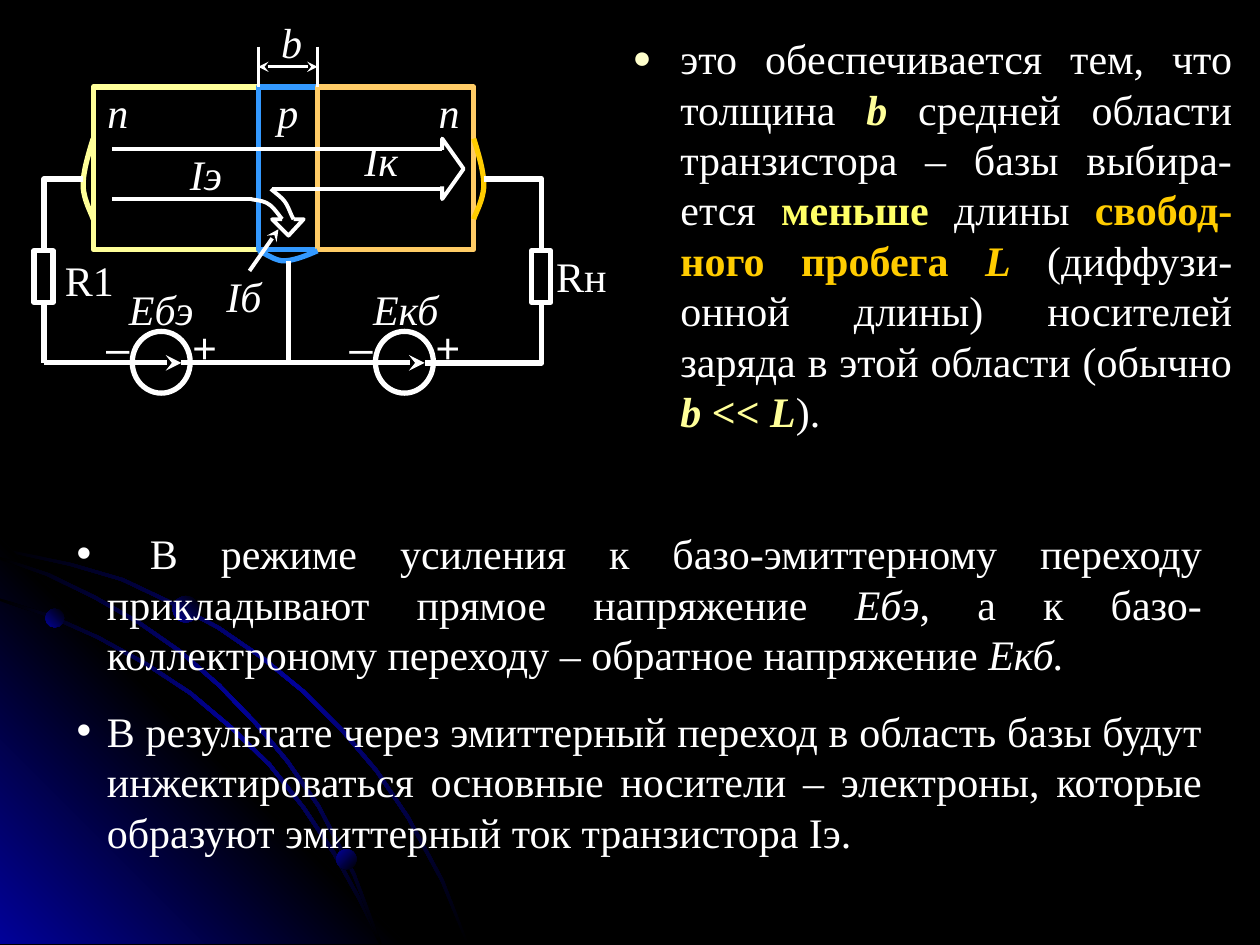
from lxml import etree
from pptx import Presentation
from pptx.dml.color import RGBColor
from pptx.enum.shapes import MSO_CONNECTOR, MSO_SHAPE
from pptx.enum.text import MSO_ANCHOR, MSO_AUTO_SIZE, PP_ALIGN
from pptx.oxml.ns import qn
from pptx.util import Inches, Pt

COLORS = {
    "black": "000000", "blue": "010199", "white": "FFFFFF", "cream": "FFFFCC",
    "emitter": "FFFF99", "base": "3399FF", "collector": "FFCC66",
    "lemon": "FFFF66", "gold": "FFCC00",
}
COLUMNS, ROWS = 100, 75
SERIF, SANS = "Times New Roman", "Arial"
EMITTER, BASE, COLLECTOR, END = 7.4, 20.5, 25.2, 37.6
TOP, BOTTOM, BUS = 6.9, 19.9, 28.8
LEFT_WIRE, MIDDLE_WIRE, RIGHT_WIRE = 3.5, 22.9, 43


def cell(count):
    return Inches(count / 10)


def rgb(name):
    return RGBColor.from_string(COLORS[name])


def apply(target, values):
    for name, value in values.items():
        setattr(target, name, value)


def child(parent, tag, **attributes):
    return etree.SubElement(parent, qn(tag), attributes)


def outline(shape, color, width):
    shape.shadow.inherit = False
    shape.fill.background()
    shape.line.color.rgb = rgb(color)
    shape.line.width = Pt(width)


def glow(shape, names, angle):
    shape.shadow.inherit = False
    shape.line.fill.background()
    shape.fill.gradient()
    shape.fill.gradient_angle = angle
    stops = next(shape._element.spPr.iter(qn("a:gsLst")))
    for stop in list(stops):
        stops.remove(stop)
    for index, name in enumerate(names):
        stop = child(stops, "a:gs", pos=str(100000 * index // (len(names) - 1)))
        child(stop, "a:srgbClr", val=COLORS[name])


def preset(slide, kind, left, top, width, height):
    return slide.shapes.add_shape(kind, *map(cell, (left, top, width, height)))


def path(slide, points, close=False):
    start, *rest = [(cell(x), cell(y)) for x, y in points]
    builder = slide.shapes.build_freeform(*start)
    builder.add_line_segments(rest, close=close)
    return builder.convert_to_shape()


def curve(points, steps=12):
    result = [points[0]]
    for first in range(0, len(points) - 1, 3):
        knots = points[first:first + 4]
        for step in range(1, steps + 1):
            t = step / steps
            weights = ((1 - t) ** 3, 3 * t * (1 - t) ** 2, 3 * t * t * (1 - t), t ** 3)
            result.append(tuple(sum(w * k[axis] for w, k in zip(weights, knots)) for axis in (0, 1)))
    return result


def line(slide, start, end, width=3, arrows=()):
    wire = slide.shapes.add_connector(MSO_CONNECTOR.STRAIGHT, *map(cell, (*start, *end)))
    wire.line.color.rgb = rgb("white")
    wire.line.width = Pt(width)
    stroke = wire.line._get_or_add_ln()
    for arrow in arrows:
        child(stroke, f"a:{arrow}End", type="stealth")
    child(wire._element.spPr, "a:effectLst")


def write(paragraph, text, color="white", bold=False, italic=False, font=SERIF):
    run = paragraph.add_run()
    run.text = text
    apply(run.font, {"size": Pt(24), "name": font, "bold": bold, "italic": italic})
    run.font.color.rgb = rgb(color)


def label(slide, text, left, top, width, height=3.2, **style):
    frame = slide.shapes.add_textbox(*map(cell, (left, top, width, height))).text_frame
    apply(frame, {"word_wrap": True, "margin_left": 0, "margin_right": 0,
                  "margin_top": 0, "margin_bottom": 0})
    frame.paragraphs[0].alignment = PP_ALIGN.CENTER
    write(frame.paragraphs[0], text, **style)


def bullet(paragraph, runs, mark, color, indent, before, size):
    apply(paragraph, {"alignment": PP_ALIGN.JUSTIFY, "space_before": Pt(before)})
    properties = paragraph._p.get_or_add_pPr()
    properties.set("marL", str(cell(indent)))
    properties.set("indent", str(-cell(indent)))
    child(child(properties, "a:buClr"), "a:srgbClr", val=COLORS[color])
    child(properties, "a:buSzPct", val=str(size * 1000))
    child(properties, "a:buFont", typeface=SANS)
    child(properties, "a:buChar", char=mark)
    for text, *style in runs:
        write(paragraph, text, *style)


def backdrop(slide):
    slide.background.fill.solid()
    slide.background.fill.fore_color.rgb = rgb("black")
    arcs = [
        [(0, 43.5), (5.7, 44.7), (9.8, 45.9), (13.6, 47.7), (17.4, 49.7), (20.9, 52.1), (24.2, 54.8),
         (27.2, 57.8), (30, 61.1), (32.5, 64.8), (35.2, 69.8), (37.2, 74.9)],
        [(0, 47.5), (4.1, 48.8), (7.9, 50.5), (11.7, 52.6), (15.2, 54.9), (18.4, 57.6), (21.5, 60.6),
         (24.2, 64), (26.6, 67.6), (28.6, 71.2), (30.3, 74.9)],
        [(0, 44.2), (3.9, 45.5), (7.6, 47.3), (11.1, 49.3), (14.4, 51.6), (17.5, 54.3), (20.4, 57.3),
         (22.9, 60.3), (25.4, 63.9), (28.2, 69.3), (30.3, 74.9)],
    ]
    corner = [(32.2, 74.9), (0, 74.9), (0, 42.7)]
    for index, outer in enumerate(arcs):
        inner = [(max(x - 0.2, 0), min(y + 0.2, 74.9)) for x, y in reversed(outer)]
        glow(path(slide, outer + inner, close=True), ("black", "blue", "black"), 135)
        if index == 0:
            glow(path(slide, corner, close=True), ("blue", "black", "blue"), 225)
    for left, top, size, angle in [(3.6, 48.3, 1.5, 225), (26.7, 67.4, 1.6, 135), (13.7, 47.3, 2.1, 225)]:
        glow(preset(slide, MSO_SHAPE.OVAL, left, top, size, size), ("black", "blue"), angle)


def transistor(slide):
    regions = [(EMITTER, BASE, "emitter"), (BASE, COLLECTOR, "base"), (COLLECTOR, END, "collector")]
    for left, right, color in regions:
        outline(preset(slide, MSO_SHAPE.RECTANGLE, left, TOP, right - left, 12.9), color, 3)
    for start, end in [((8.9, 11.8), (35.1, 11.8)), ((8.9, 15.8), (19.9, 15.8)), ((21.6, 15), (35.1, 15))]:
        line(slide, start, end, 2.25)
    currents = [
        curve([(19.9, 15.8), (20.2, 15.9), (20.9, 15.9), (21.3, 16.2), (21.7, 16.4), (22.2, 17.2), (22.4, 17.4)]),
        curve([(21.5, 15), (21.7, 15.2), (22.3, 15.6), (22.6, 16), (22.9, 16.4), (23.1, 17.1), (23.3, 17.4)]),
        [(22.4, 17.4), (21.6, 17.4), (22.9, 18.7), (24.1, 17.4), (23.3, 17.4)],
        [(35.1, 11.9), (35.1, 11), (36.8, 13.4), (35.1, 15.8), (35.1, 14.8)],
    ]
    for points in currents:
        outline(path(slide, points), "white", 2.25)
    bulge = [(0, 11), (0.4, 12.3), (0.8, 13.6), (0.8, 14.7), (0.8, 15.8), (0.1, 17), (0, 17.4)]
    for edge, side, color in [(EMITTER, -1, "emitter"), (END, 1, "gold")]:
        outline(path(slide, curve([(edge + side * x, y) for x, y in bulge])), color, 3)
    contact = [(COLLECTOR, BOTTOM), (24.3, 20.3), (23.3, 20.7), (22.5, 20.7), (21.8, 20.7), (20.9, 20), (BASE, BOTTOM)]
    outline(path(slide, curve(contact)), "base", 3)
    line(slide, (19.8, 21.5), (22.1, 18.2), 2.25, ["tail"])
    for edge in (BASE, COLLECTOR):
        line(slide, (edge, 3.7), (edge, TOP), 1.5)
    line(slide, (BASE, 5.3), (COLLECTOR, 5.3), 1.5, ["head", "tail"])


def source(slide, left, wire_start):
    outline(preset(slide, MSO_SHAPE.OVAL, left, 26.3, 4.6, 4.9), "white", 3)
    line(slide, (wire_start, BUS), (left + 3.9, BUS), arrows=["tail"])
    for sign, offset in (("–", -2.3), ("+", 4.6)):
        label(slide, sign, left + offset, 25.5, 2.3, font=SANS)


def circuit(slide):
    line(slide, (MIDDLE_WIRE, 20.7), (MIDDLE_WIRE, BUS))
    source(slide, 10.5, LEFT_WIRE)
    source(slide, 29.8, MIDDLE_WIRE)
    line(slide, (MIDDLE_WIRE, BUS), (14.4, BUS))
    for left in (2.7, 42.2):
        outline(preset(slide, MSO_SHAPE.RECTANGLE, left, BOTTOM, 1.5, 4.1), "white", 3)
    line(slide, (LEFT_WIRE, 23.9), (LEFT_WIRE, BUS))
    wires = [
        [(LEFT_WIRE, BOTTOM), (LEFT_WIRE, 14.2), (6.6, 14.2)],
        [(RIGHT_WIRE, 23.9), (RIGHT_WIRE, BUS), (33.7, BUS)],
        [(38.4, 14.2), (RIGHT_WIRE, 14.2), (RIGHT_WIRE, BOTTOM)],
    ]
    for points in wires:
        outline(path(slide, points), "white", 3)


def labels(slide):
    symbols = [
        ("n", 8.2, 6.9, 2.3), ("n", 34.5, 6.9, 2.3), ("p", 21.3, 6.9, 3.1), ("b", 21.6, 1.3, 3.1),
        ("Iэ", 14.4, 11.8, 3.9), ("Iк", 28.3, 10.7, 3.9), ("Iб", 17.4, 21.5, 3.9),
        ("Ебэ", 9.7, 22.5, 6.2), ("Екб", 29.1, 22.5, 6.2),
    ]
    for symbol in symbols:
        label(slide, *symbol, italic=True)
    label(slide, "Rн", 43.8, 19.9, 4.7)
    label(slide, "R1", 4.3, 20.2, 5.6)


def explanations(slide):
    thickness = slide.placeholders[1]
    apply(thickness, dict(zip(("left", "top", "width", "height"), map(cell, (49.2, 2.1, 49.6, 35.4)))))
    apply(thickness.text_frame, {"word_wrap": True, "auto_size": MSO_AUTO_SIZE.NONE,
                                 "vertical_anchor": MSO_ANCHOR.TOP})
    bullet(thickness.text_frame.paragraphs[0], [
        ("это обеспечивается тем, что толщина ",), ("b", "emitter", True, True),
        (" средней области транзистора – базы выбира-ется ",), ("меньше", "lemon", True),
        (" длины ",), ("свобод-ного пробега ", "gold", True), ("L", "gold", True, True),
        (" (диффузи-онной длины) носителей заряда в этой области (обычно ",),
        ("b << L", "emitter", True, True), (").",),
    ], "●", "cream", 3.8, 6, 75)
    modes = slide.shapes.add_textbox(*map(cell, (5.1, 41.4, 91.3, 27.1))).text_frame
    modes.word_wrap = True
    points = [
        [(" В режиме усиления к базо-эмиттерному переходу прикладывают прямое напряжение ",),
         ("Ебэ", "white", False, True), (", а к базо-коллектроному переходу – обратное напряжение ",),
         ("Екб.", "white", False, True)],
        [("В результате через эмиттерный переход в область базы будут инжектироваться основные "
          "носители – электроны, которые образуют эмиттерный ток транзистора Iэ.",)],
    ]
    for index, runs in enumerate(points):
        paragraph = modes.add_paragraph() if index else modes.paragraphs[0]
        bullet(paragraph, runs, "•", "white", 2.4, 15, 100)


def main():
    deck = Presentation()
    apply(deck, {"slide_width": cell(COLUMNS), "slide_height": cell(ROWS)})
    slide = deck.slides.add_slide(deck.slide_layouts[1])
    heading = slide.shapes.title._element
    heading.getparent().remove(heading)
    for draw in (backdrop, transistor, circuit, labels, explanations):
        draw(slide)
    deck.save("out.pptx")


if __name__ == "__main__":
    main()
